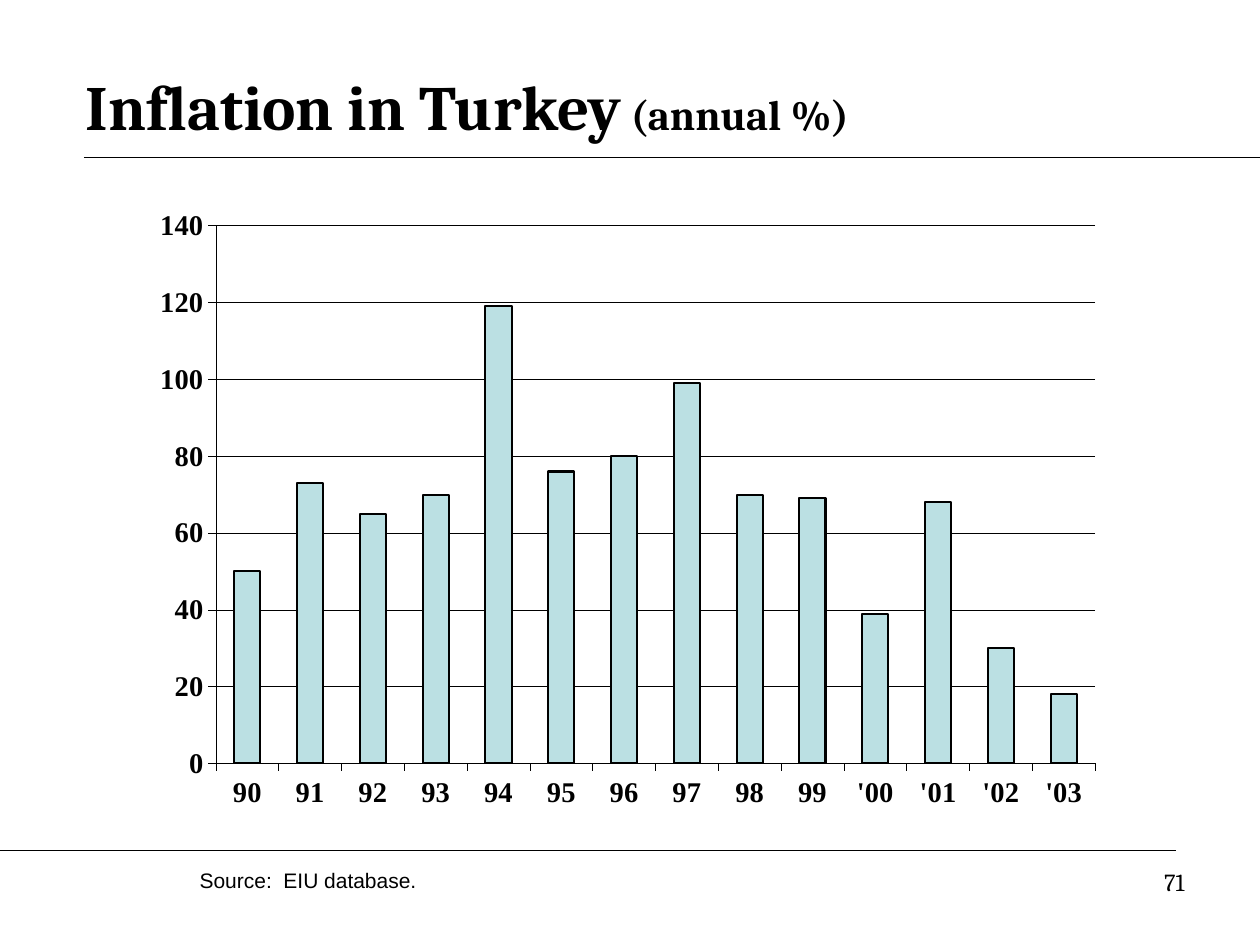
from lxml import etree
from pptx import Presentation
from pptx.chart.data import CategoryChartData
from pptx.dml.color import RGBColor
from pptx.enum.chart import XL_CHART_TYPE as ChartType, XL_TICK_MARK as TickMark
from pptx.enum.shapes import MSO_CONNECTOR as Connector
from pptx.enum.text import MSO_ANCHOR as Anchor, PP_ALIGN as Align
from pptx.oxml import parse_xml
from pptx.oxml.ns import qn
from pptx.util import Pt

CHART_NS = "http://schemas.openxmlformats.org/drawingml/2006/chart"


def color(hex_code):
    return RGBColor.from_string(hex_code)


def add_run(paragraph, text, font="Cambria", size=14, bold=False, fill="000000"):
    run = paragraph.add_run()
    run.text = text
    run.font.name, run.font.size, run.font.bold = font, Pt(size), bold
    run.font.color.rgb = color(fill)


class SlideBuilder:
    ink = "000000"
    bar_fill = "BBE0E3"
    chart_font = "Times New Roman"

    def __init__(self, slide):
        self.slide = slide

    def rule(self, start, end, y):
        line = self.slide.shapes.add_connector(
            Connector.STRAIGHT, Pt(start), Pt(y), Pt(end), Pt(y))
        line.line.color.rgb = color(self.ink)
        line.line.width = Pt(0.75)
        etree.SubElement(line._element.spPr, qn("a:effectLst"))

    def text(self, box, runs, align=Align.LEFT, anchor=Anchor.TOP):
        frame = self.slide.shapes.add_textbox(*map(Pt, box)).text_frame
        frame.word_wrap = True
        frame.vertical_anchor = anchor
        paragraph = frame.paragraphs[0]
        paragraph.alignment = align
        for text, style in runs:
            add_run(paragraph, text, **style)

    def style_font(self, font, size):
        font.name, font.size, font.bold = self.chart_font, Pt(size), True
        font.color.rgb = color(self.ink)

    def style_line(self, line, width):
        line.color.rgb = color(self.ink)
        line.width = Pt(width)

    def column_chart(self, box, categories, values, plot_box):
        data = CategoryChartData(number_format="0")
        data.categories = categories
        data.add_series("Series 1", values)
        chart = self.slide.shapes.add_chart(
            ChartType.COLUMN_CLUSTERED, *map(Pt, box), data).chart
        chart.has_legend = chart.has_title = False
        self.style_font(chart.font, 21)

        # Axes
        for axis in (chart.category_axis, chart.value_axis):
            axis.major_tick_mark = TickMark.OUTSIDE
            axis.minor_tick_mark = TickMark.NONE
            self.style_font(axis.tick_labels.font, 16.3)
            self.style_line(axis.format.line, 0.29)
        value_axis = chart.value_axis
        value_axis.minimum_scale, value_axis.maximum_scale = 0, 140
        value_axis.major_unit = 20
        value_axis.tick_labels.number_format = "0"
        value_axis.tick_labels.number_format_is_linked = False
        self.style_line(value_axis.major_gridlines.format.line, 0.29)

        # Columns
        plot = chart.plots[0]
        plot.gap_width = 140
        plot.vary_by_categories = False
        series = plot.series[0]
        series.format.fill.solid()
        series.format.fill.fore_color.rgb = color(self.bar_fill)
        self.style_line(series.format.line, 1.17)

        # Fixed inner plot area
        places = "".join(f'<c:{tag} val="{value}"/>'
                         for tag, value in zip("xywh", plot_box))
        layout = parse_xml(
            f'<c:layout xmlns:c="{CHART_NS}"><c:manualLayout>'
            '<c:layoutTarget val="inner"/><c:xMode val="edge"/><c:yMode val="edge"/>'
            f'{places}</c:manualLayout></c:layout>')
        plot_area = chart._chartSpace.chart.plotArea
        for old_layout in plot_area.findall(qn("c:layout")):
            plot_area.remove(old_layout)
        plot_area.insert(0, layout)


def main():
    presentation = Presentation()
    presentation.slide_width, presentation.slide_height = Pt(720), Pt(540)
    builder = SlideBuilder(presentation.slides.add_slide(presentation.slide_layouts[6]))

    # Header and footer rules
    for start, end, y in ((48, 720, 90), (0, 672, 486), (90, 720, 90), (0, 510, 486)):
        builder.rule(start, end, y)

    # Page number and title
    builder.text((516, 492, 168, 37.5), [("71", {})], align=Align.RIGHT)
    builder.text((42, 30, 624, 60),
                 [("Inflation in Turkey", {"size": 36, "bold": True}),
                  (" (annual %)", {"size": 24, "bold": True})],
                 anchor=Anchor.MIDDLE)

    # Inflation by year
    years = [str(year) for year in range(90, 100)] + [f"'0{year}" for year in range(4)]
    rates = [50, 73, 65, 70, 119, 76, 80, 99, 70, 69, 39, 68, 30, 18]
    builder.column_chart((82, 111.5, 551.5, 365), years, rates,
                         plot_box=(0.075, 0.048, 0.911, 0.842))

    # Source
    builder.text((107, 492, 319, 21.5),
                 [("Source:  EIU database.", {"font": "Arial", "size": 12})])

    presentation.save("out.pptx")


if __name__ == "__main__":
    main()
